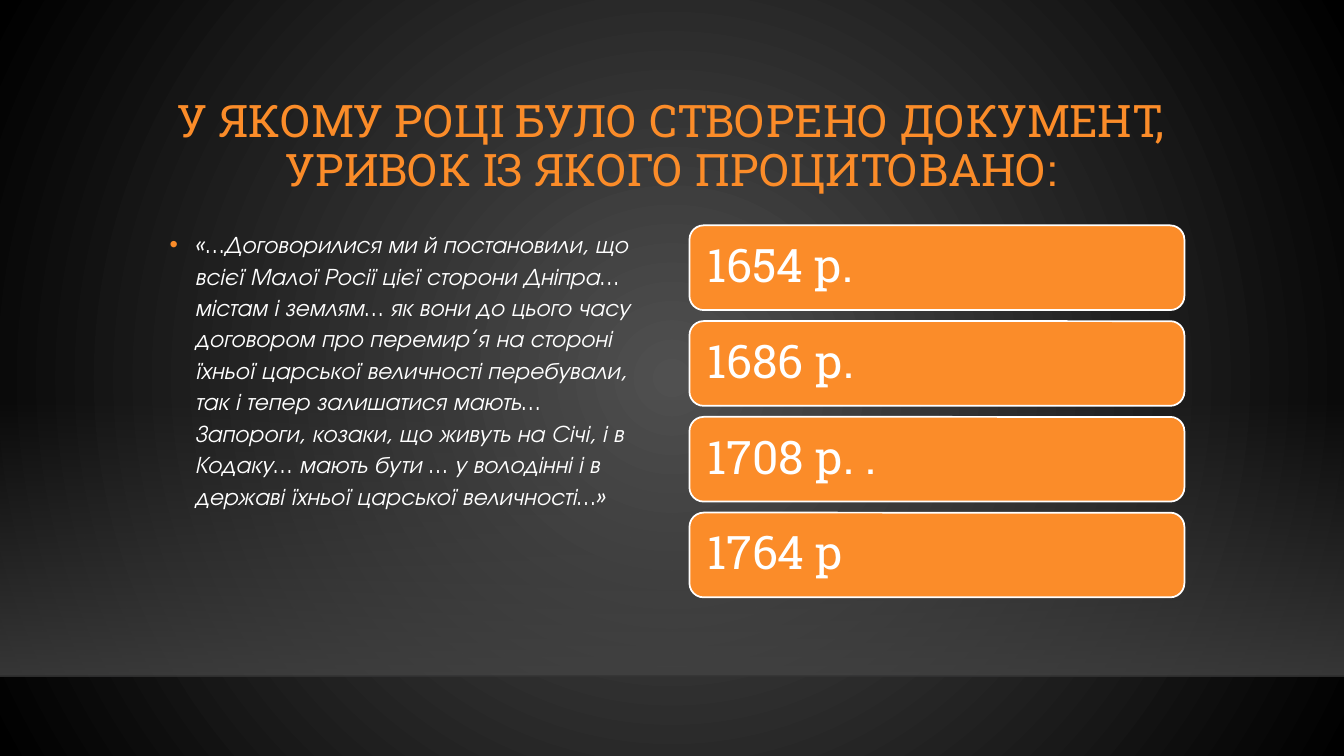
"""Builds a quiz slide with a quoted document and four possible years."""
import pptx
import pptx.dml.color
import pptx.enum.shapes
import pptx.enum.text
import pptx.oxml
import pptx.oxml.ns
import pptx.util

Pt = pptx.util.Pt
RGBColor = pptx.dml.color.RGBColor
ANCHOR = pptx.enum.text.MSO_ANCHOR
ALIGN = pptx.enum.text.PP_ALIGN
SHAPE = pptx.enum.shapes.MSO_SHAPE

ORANGE = RGBColor(0xFB, 0x8C, 0x29)
WHITE = RGBColor(0xFF, 0xFF, 0xFF)
BLACK = RGBColor(0x00, 0x00, 0x00)
LINE_BLACK = RGBColor(0x00, 0x00, 0x01)
GLOW_GRAY = RGBColor(0x50, 0x50, 0x50)
FLOOR_GRAY = RGBColor(0x45, 0x45, 0x45)

WIDTH, HEIGHT = 960, 540
FLOOR_TOP, FLOOR_BOTTOM = 285, 483
COLUMN_WIDTH = 353.5
ANSWER_TOP, ANSWER_PITCH = 161, 68.4

TITLE = "У ЯКОМУ РОЦІ БУЛО СТВОРЕНО ДОКУМЕНТ, УРИВОК ІЗ ЯКОГО ПРОЦИТОВАНО:"
QUOTE = (
    "«…Договорилися ми й постановили, що всієї Малої Росії цієї сторони Дніпра… "
    "містам і землям… як вони до цього часу договором про перемир’я на стороні "
    "їхньої царської величності перебували, так і тепер залишатися мають… "
    "Запороги, козаки, що живуть на Січі, і в Кодаку… мають бути … у володінні і в "
    "державі їхньої царської величності…»"
)
ANSWERS = ["1654 р.", "1686 р.", "1708 р. .", "1764 р"]


def element(markup):
    tag, _, attributes = markup.partition(" ")
    namespace = pptx.oxml.ns.nsdecls("a")
    return pptx.oxml.parse_xml(f"<a:{tag} {namespace} {attributes}/>")


class QuizSlide:
    heading_font = "Roboto Slab"
    body_font = "TeX Gyre Adventor"

    def __init__(self, presentation):
        self.slide = presentation.slides.add_slide(presentation.slide_layouts[1])
        self.shapes = self.slide.shapes

    def place(self, shape, left, top, width, height):
        shape.left, shape.top = Pt(left), Pt(top)
        shape.width, shape.height = Pt(width), Pt(height)

    def set_text(self, shape, text, font_name, size, color, spacing, anchor, align):
        frame = shape.text_frame
        frame.text = text
        frame.word_wrap = True
        frame.auto_size = pptx.enum.text.MSO_AUTO_SIZE.NONE
        frame.vertical_anchor = anchor
        paragraph = frame.paragraphs[0]
        paragraph.alignment = align
        paragraph.line_spacing = spacing
        paragraph.space_before = Pt(0)
        font = paragraph.runs[0].font
        font.name, font.size, font.color.rgb = font_name, Pt(size), color
        return paragraph

    def gradient(self, fill, start, end):
        fill.gradient()
        for stop, color in zip(fill.gradient_stops, (start, end)):
            stop.color.rgb = color

    def set_alpha(self, color_element, percent):
        color_element.append(element(f'alpha val="{percent * 1000}"'))

    def send_to_back(self, shape):
        tree = self.shapes.element
        tree.remove(shape.element)
        tree.insert(2, shape.element)

    def background(self):
        fill = self.slide.background.fill
        self.gradient(fill, GLOW_GRAY, BLACK)
        linear = self.slide.element.find(".//" + pptx.oxml.ns.qn("a:lin"))
        circle = element('path path="circle"')
        circle.append(element('fillToRect l="50000" t="50000" r="50000" b="50000"'))
        linear.getparent().replace(linear, circle)

    def floor(self):
        edge = self.shapes.add_connector(
            pptx.enum.shapes.MSO_CONNECTOR.STRAIGHT,
            Pt(0), Pt(FLOOR_BOTTOM), Pt(WIDTH), Pt(FLOOR_BOTTOM))
        edge.line.width = Pt(1)
        edge.line.color.rgb = LINE_BLACK
        self.set_alpha(edge.element.find(".//" + pptx.oxml.ns.qn("a:srgbClr")), 20)
        edge.element.spPr.append(element("effectLst"))
        self.send_to_back(edge)

        band = self.shapes.add_shape(
            SHAPE.RECTANGLE, Pt(0), Pt(FLOOR_TOP), Pt(WIDTH), Pt(FLOOR_BOTTOM - FLOOR_TOP))
        band.shadow.inherit = False
        self.gradient(band.fill, FLOOR_GRAY, FLOOR_GRAY)
        band.fill.gradient_angle = 270
        stops = band.element.findall(".//" + pptx.oxml.ns.qn("a:gs"))
        for stop, percent in zip(stops, (0, 80)):
            self.set_alpha(stop[0], percent)
        band.line.fill.background()
        self.send_to_back(band)

    def title(self, text):
        title = self.shapes.title
        self.place(title, 114, 63.5, 731.5, 83.5)
        self.set_text(title, text, self.heading_font, 32, ORANGE, 0.9,
                      ANCHOR.MIDDLE, ALIGN.CENTER)

    def quote(self, text):
        body = self.slide.placeholders[1]
        self.place(body, 114, 158.5, COLUMN_WIDTH, 271.5)
        paragraph = self.set_text(body, text, self.body_font, 17, WHITE, 1.1,
                                  ANCHOR.TOP, ALIGN.LEFT)
        paragraph.runs[0].font.italic = True
        properties = paragraph._p.get_or_add_pPr()
        properties.set("marL", str(Pt(18)))
        properties.set("indent", str(-Pt(18)))
        bullet_color = element("buClr")
        bullet_color.append(element(f'srgbClr val="{ORANGE}"'))
        properties.append(bullet_color)
        properties.append(element('buFont typeface="Arial"'))
        properties.append(element('buChar char="•"'))

    def answer(self, text, top):
        box = self.shapes.add_shape(
            SHAPE.ROUNDED_RECTANGLE, Pt(492.5), Pt(top), Pt(COLUMN_WIDTH), Pt(60.5))
        box.shadow.inherit = False
        box.fill.solid()
        box.fill.fore_color.rgb = ORANGE
        box.line.color.rgb = WHITE
        box.line.width = Pt(1.25)
        frame = box.text_frame
        frame.margin_left = frame.margin_right = Pt(10)
        self.set_text(box, text, self.heading_font, 33, WHITE, 0.9,
                      ANCHOR.MIDDLE, ALIGN.LEFT)


def main():
    presentation = pptx.Presentation()
    presentation.slide_width, presentation.slide_height = Pt(WIDTH), Pt(HEIGHT)
    quiz = QuizSlide(presentation)
    quiz.background()
    quiz.floor()
    quiz.title(TITLE)
    quiz.quote(QUOTE)
    for index, text in enumerate(ANSWERS):
        quiz.answer(text, ANSWER_TOP + index * ANSWER_PITCH)
    presentation.save("out.pptx")


if __name__ == "__main__":
    main()
